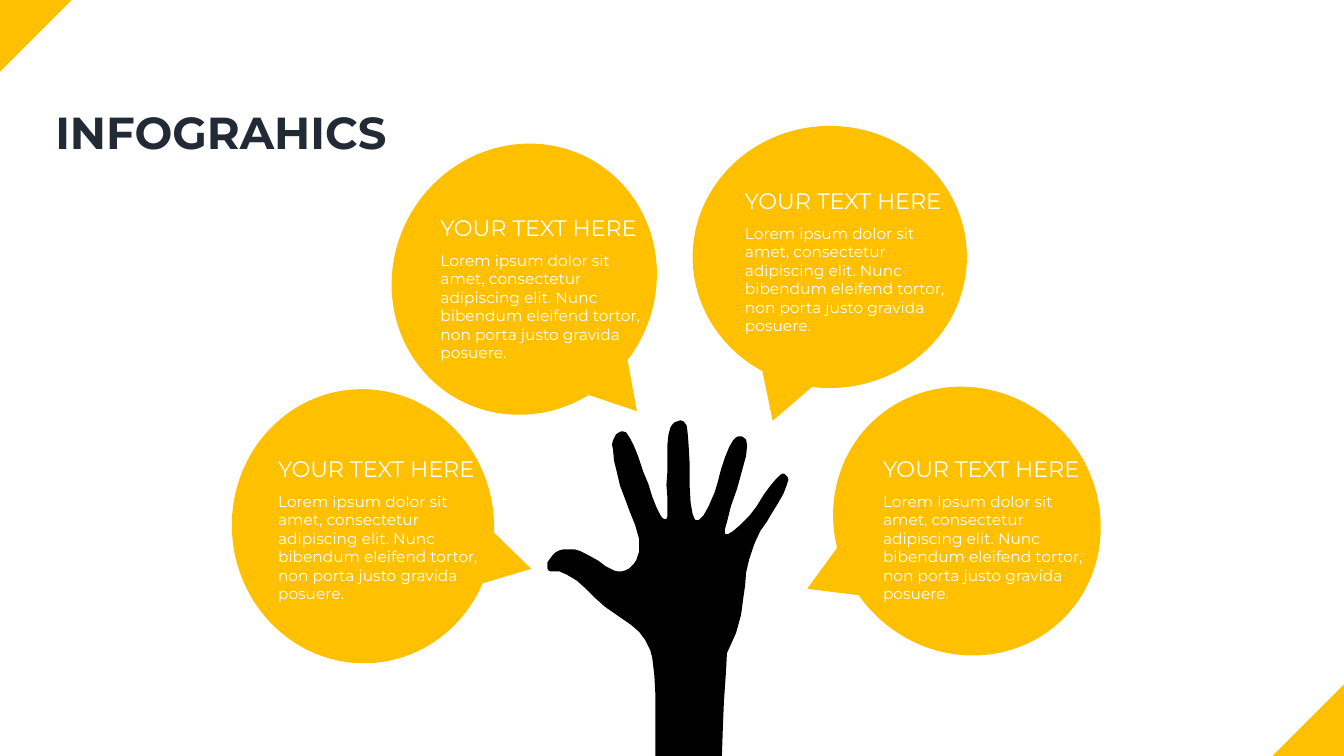
import pptx
import pptx.dml.color
import pptx.enum.shapes
import pptx.enum.text
import pptx.util
from pptx.util import Inches

AMBER, BLACK, WHITE, NAVY = "FFC000", "000000", "FFFFFF", "222A35"
SHAPES = pptx.enum.shapes.MSO_SHAPE
HEADING = "YOUR TEXT HERE"
BODY = ("Lorem ipsum dolor sit amet, consectetur adipiscing elit. Nunc bibendum "
        "eleifend tortor, non porta justo gravida posuere.")
SLIDE_WIDTH, SLIDE_HEIGHT = 13.33, 7.5
CORNER_SIZE = 0.71
BUBBLE_SIZE = (2.72, 2.6)

# Bubble left, top, rotation, then left and top of its text.
BUBBLES = [
    (8.23, 3.87, 47.8, 8.66, 4.47),
    (6.87, 1.25, 0, 7.29, 1.81),
    (3.84, 1.47, 300.3, 4.27, 2.08),
    (2.24, 3.92, 265, 2.66, 4.47),
]

# Hand outline in hundredths of an inch from the top left of its box.
MIDDLE_FINGER = [
    (132, 0), (135, 1), (138, 5), (139, 12), (140, 25), (141, 43), (141, 65),
    (142, 82), (144, 93), (146, 98), (147, 99), (150, 99), (155, 94), (160, 85)]
RING_FINGER = [
    (166, 71), (169, 61), (172, 49), (176, 37), (180, 27), (184, 20), (187, 17),
    (189, 16), (193, 16), (197, 19), (198, 25), (197, 35), (193, 50), (188, 68),
    (182, 85), (178, 101), (176, 108), (176, 112), (177, 113), (179, 113)]
LITTLE_FINGER = [
    (184, 110), (191, 104), (200, 95), (207, 86), (215, 73), (221, 65), (226, 59),
    (231, 54), (233, 53), (235, 53), (238, 56), (239, 59), (237, 65), (234, 73),
    (227, 85), (222, 93), (218, 100), (211, 110), (205, 123), (200, 138)]
WRIST = [
    (197, 151), (196, 164), (194, 178), (192, 193), (187, 211), (183, 220),
    (178, 231), (177, 250), (175, 279), (174, 304), (173, 333), (107, 333),
    (107, 271), (106, 253), (104, 236), (102, 228), (97, 218), (91, 210)]
THUMB = [
    (83, 203), (70, 194), (57, 185), (47, 176), (38, 167), (29, 159), (19, 153),
    (12, 150), (3, 150), (1, 149), (0, 147), (0, 141), (2, 138), (5, 134),
    (8, 131), (12, 129), (16, 128), (27, 128), (33, 130), (39, 133), (50, 139),
    (58, 145), (66, 149), (70, 150), (73, 150), (77, 149), (81, 147), (85, 143),
    (88, 139), (91, 130), (91, 118)]
INDEX_FINGER = [
    (87, 104), (81, 89), (77, 78), (72, 65), (69, 52), (66, 40), (65, 29),
    (64, 24), (65, 20), (68, 14), (71, 12), (73, 11), (75, 11), (78, 12),
    (82, 18), (86, 26), (90, 36), (95, 51), (100, 63), (104, 76), (108, 86),
    (112, 94), (114, 97), (116, 98), (118, 98), (119, 95), (119, 77), (118, 64),
    (119, 50), (119, 24), (120, 14), (122, 7), (124, 4), (126, 2), (129, 1)]
HAND = MIDDLE_FINGER + RING_FINGER + LITTLE_FINGER + WRIST + THUMB + INDEX_FINGER


def color(code):
    """Turn a hex string into a colour."""
    return pptx.dml.color.RGBColor.from_string(code)


def paint(shape, code):
    """Give a shape a flat fill with no line or shadow."""
    shape.fill.solid()
    shape.fill.fore_color.rgb = color(code)
    shape.line.fill.background()
    shape.shadow.inherit = False


def add_preset(page, kind, box, rotation):
    """Add an amber preset shape, turned by the given degrees."""
    shape = page.shapes.add_shape(kind, *map(Inches, box))
    shape.rotation = rotation
    paint(shape, AMBER)


def add_text(page, text, box, size=11, code=WHITE, bold=False):
    """Add a wrapped line of text in the given format."""
    frame = page.shapes.add_textbox(*map(Inches, box)).text_frame
    frame.word_wrap = True
    frame.auto_size = pptx.enum.text.MSO_AUTO_SIZE.SHAPE_TO_FIT_TEXT
    span = frame.paragraphs[0].add_run()
    span.text = text
    span.font.name = "Montserrat"
    span.font.size = pptx.util.Pt(size)
    span.font.bold = bold
    span.font.color.rgb = color(code)


def add_corners(page, box):
    """Place triangles in the top left and bottom right corners of the box."""
    left, top, width, height = box
    size = (CORNER_SIZE, CORNER_SIZE)
    far = (left + width - CORNER_SIZE, top + height - CORNER_SIZE)
    add_preset(page, SHAPES.RIGHT_TRIANGLE, far + size, 270)
    add_preset(page, SHAPES.RIGHT_TRIANGLE, (left, top) + size, 90)


def add_hand(page, box):
    """Draw the raised hand from the top left of the box."""
    left, top = box
    builder = page.shapes.build_freeform(*HAND[0], scale=Inches(0.01))
    builder.add_line_segments(HAND[1:], close=True)
    paint(builder.convert_to_shape(Inches(left), Inches(top)), BLACK)


def add_bubble(page, box, rotation, text_left, text_top):
    """Draw a speech bubble in the box, with a heading above its body."""
    add_preset(page, SHAPES.OVAL_CALLOUT, box, rotation)
    add_text(page, HEADING, (text_left, text_top, 2.23, 0.37), size=16)
    add_text(page, BODY, (text_left, text_top + 0.36, 2.23, 1.03))


deck = pptx.Presentation()
deck.slide_width, deck.slide_height = Inches(SLIDE_WIDTH), Inches(SLIDE_HEIGHT)
page = deck.slides.add_slide(deck.slide_layouts[6])
page.background.fill.solid()
page.background.fill.fore_color.rgb = color(WHITE)

add_corners(page, (0, 0, SLIDE_WIDTH, SLIDE_HEIGHT))
add_hand(page, (5.43, 4.17))
for left, top, rotation, text_left, text_top in BUBBLES:
    add_bubble(page, (left, top) + BUBBLE_SIZE, rotation, text_left, text_top)
add_text(page, "INFOGRAHICS", (0.45, 0.99, 6.7, 0.64), size=32, code=NAVY, bold=True)

deck.save("out.pptx")
